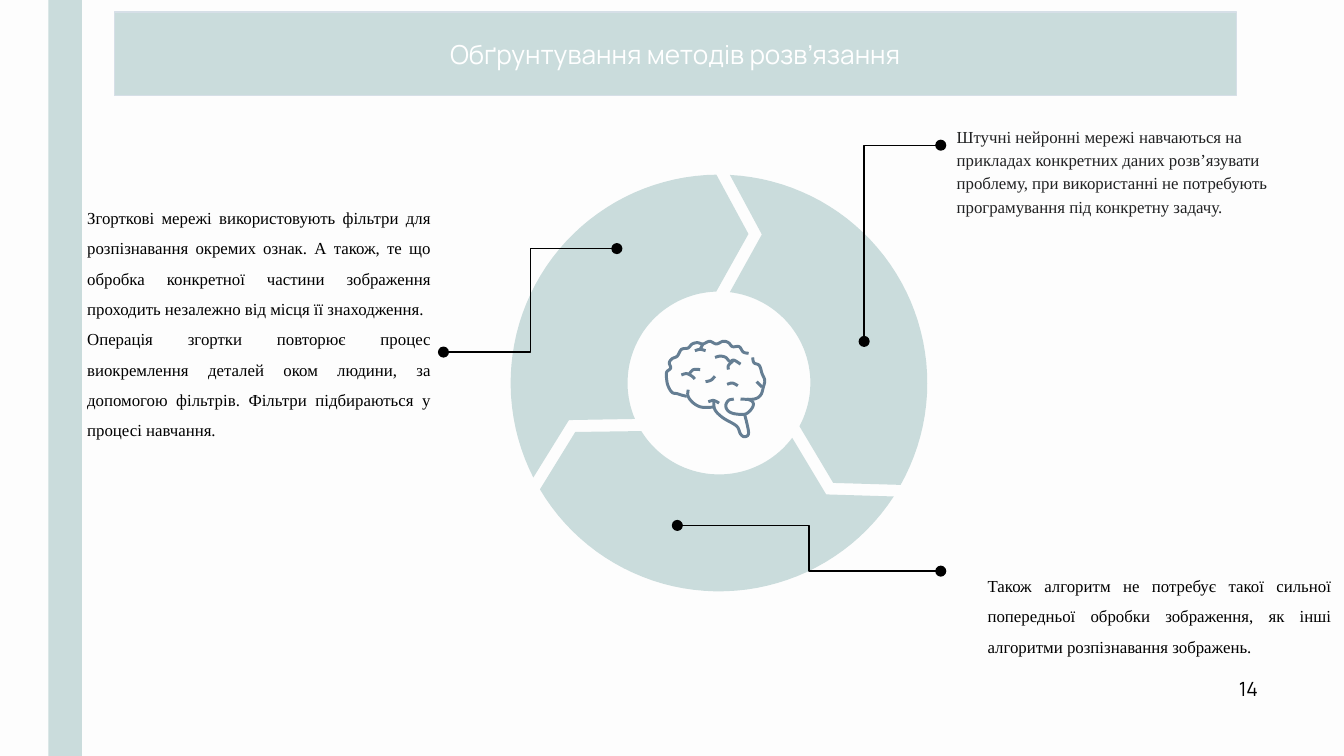
from math import cos, radians, sin

from lxml.etree import SubElement
from pptx import Presentation
from pptx.dml.color import RGBColor
from pptx.enum.shapes import MSO_CONNECTOR as CONNECTOR, MSO_SHAPE as SHAPE
from pptx.enum.text import MSO_ANCHOR as ANCHOR, PP_ALIGN as ALIGN
from pptx.oxml.ns import qn
from pptx.util import Inches, Pt

COLORS = {"paper": "FDFDFD", "sage": "CADCDC", "edge": "D6DFE7", "white": "FFFFFF",
          "black": "000000", "ink": "202122", "brain": "657E93"}
SERIF, SANS = "Times New Roman", "Manrope"

CONVOLUTION = [
    "Згорткові мережі використовують фільтри для розпізнавання окремих ознак. А також, те що "
    "обробка конкретної частини зображення проходить незалежно від місця її знаходження.",
    "Операція згортки повторює процес виокремлення деталей оком людини, за допомогою фільтрів. "
    "Фільтри підбираються у процесі навчання.",
]
PREPROCESSING = ["Також алгоритм не потребує такої сильної попередньої обробки зображення, "
                 "як інші алгоритми розпізнавання зображень."]
LEARNING = ["Штучні нейронні мережі навчаються на прикладах конкретних даних розв’язувати "
            "проблему, при використанні не потребують програмування під конкретну задачу."]

# Strokes of the brain icon, in hundredths of an inch from its top left corner
BRAIN = [
    [[(39, 13), (43, 12), (47, 13), (50, 16), (53, 15), (58, 18)], [(49, 22), (49, 19), (53, 15)]],
    [[(14, 26), (18, 25), (22, 27), (24, 29)], [(20, 25), (23, 22), (28, 22)]],
    [[(48, 33), (52, 32), (56, 34)]],
    [[(32, 31), (36, 30), (39, 27)]],
    [  # outline, stem and cerebellum
        [(67, 13), (68, 17), (72, 19), (74, 25), (76, 30), (75, 35), (73, 41), (68, 44), (58, 44)],
        [(70, 31), (74, 35)],
        [(64, 10), (60, 9), (57, 5), (52, 5), (49, 2), (45, 1), (40, 3), (35, 1), (30, 3),
         (26, 2), (22, 3), (19, 6), (14, 7), (11, 12), (7, 14), (5, 17), (6, 21), (3, 24),
         (3, 29), (4, 34), (7, 39), (11, 40), (14, 41), (18, 42)],
        [(19, 37), (19, 42), (23, 47), (29, 50), (38, 50)],
        [(34, 46), (38, 45), (42, 47)],
        [(38, 45), (39, 52), (45, 58), (55, 64), (58, 70), (61, 72), (64, 69), (61, 55)],
        [(53, 44), (49, 45), (47, 49), (49, 53), (54, 55), (62, 55), (67, 50), (67, 46), (63, 44)],
        [(24, 8), (28, 7), (32, 8)],
        [(28, 7), (30, 3)],
    ],
]


def rgb(name):
    return RGBColor.from_string(COLORS[name])


def add_bar(slide, left, top, width, height, edge=None):
    bar = slide.shapes.add_shape(SHAPE.RECTANGLE, *map(Inches, (left, top, width, height)))
    bar.shadow.inherit = False
    bar.fill.solid()
    bar.fill.fore_color.rgb = rgb("sage")
    if edge:
        bar.line.color.rgb = rgb(edge)
        bar.line.width = Pt(0.75)
    else:
        bar.line.fill.background()
    return bar


def write(frame, paragraphs, size, font, color, align=ALIGN.LEFT, spacing=None, indent=0, after=0):
    frame.word_wrap = True
    frame.margin_left = frame.margin_right = Inches(0.1)
    frame.margin_top = frame.margin_bottom = Inches(0.1)
    frame.text = "\n".join(paragraphs)
    for paragraph in frame.paragraphs:
        paragraph.alignment = align
        paragraph.line_spacing = spacing
        paragraph.space_after = Pt(after)
        properties = paragraph._p.get_or_add_pPr()
        properties.set("marL", str(Inches(indent)))
        properties.set("indent", "0")
        for run in paragraph.runs:
            run.font.size = Pt(size)
            run.font.name = font
            run.font.color.rgb = rgb(color)


def add_text(slide, left, top, width, height, paragraphs, **style):
    box = slide.shapes.add_textbox(*map(Inches, (left, top, width, height)))
    write(box.text_frame, paragraphs, **style)


def add_title(slide, left, top, width, height):
    banner = add_bar(slide, left, top, width, height, "edge")
    banner.text_frame.vertical_anchor = ANCHOR.MIDDLE
    write(banner.text_frame, ["Обґрунтування методів розв’язання"], 14, SANS, "white", ALIGN.CENTER)


def add_outline(slide, strokes, closed):
    """Draw one freeform from strokes given as lists of points in inches."""
    scaled = [[(Inches(x), Inches(y)) for x, y in stroke] for stroke in strokes]
    builder = slide.shapes.build_freeform(*scaled[0][0])
    for number, stroke in enumerate(scaled):
        if number:
            builder.move_to(*stroke[0])
        builder.add_line_segments(stroke[1:], close=closed)
    outline = builder.convert_to_shape()
    outline.shadow.inherit = False
    return outline


def add_ring(slide, center_x, center_y, outer=1.55, inner=0.68, parts=3):
    """Draw a ring of equal arrow-like parts, angles running clockwise from the top."""
    step = 360 / parts

    def polar(radius, angle):
        turn = radians(angle)
        return center_x + radius * sin(turn), center_y - radius * cos(turn)

    def arc(radius, start, end, count=40):
        return [polar(radius, start + (end - start) * i / count) for i in range(count + 1)]

    for part in range(parts):
        start = (part - 1) * step
        end = start + step
        points = [polar(1.15, start + 16.1), *arc(inner, start + 6.8, end - 1.7),
                  polar(1.13, end + 11.2), *arc(outer, end - 0.7, start + 3)]
        segment = add_outline(slide, [points], closed=True)
        segment.fill.solid()
        segment.fill.fore_color.rgb = rgb("sage")
        segment.line.fill.background()


def smooth(points, count=5):
    """Run a Catmull-Rom curve through the points."""
    padded = [points[0], *points, points[-1]]
    curve = [points[0]]
    for a, b, c, d in zip(padded, padded[1:], padded[2:], padded[3:]):
        for i in range(1, count + 1):
            t = i / count
            curve.append(tuple(
                (2 * q + (r - p) * t + (2 * p - 5 * q + 4 * r - s) * t ** 2
                 + (3 * q - p - 3 * r + s) * t ** 3) / 2
                for p, q, r, s in zip(a, b, c, d)))
    return curve


def add_brain(slide, left, top):
    for fold in BRAIN:
        strokes = [[(left + x / 100, top + y / 100) for x, y in smooth(stroke)] for stroke in fold]
        outline = add_outline(slide, strokes, closed=False)
        outline.fill.background()
        outline.line.color.rgb = rgb("brain")
        outline.line.width = Pt(1.6)


def add_callout(slide, x1, y1, x2, y2, single_bend=False):
    """Join two points by an elbow with round ends; a single bend rises first, then runs right."""
    ends = (x1, y1, x2, y2)
    if single_bend:
        middle_x, middle_y = (x1 + x2) / 2, (y1 + y2) / 2
        half_w, half_h = (y1 - y2) / 2, (x2 - x1) / 2
        ends = (middle_x - half_w, middle_y - half_h, middle_x + half_w, middle_y + half_h)
    elbow = slide.shapes.add_connector(CONNECTOR.ELBOW, *map(Inches, ends))
    elbow.line.color.rgb = rgb("black")
    elbow.line.width = Pt(0.75)
    properties = elbow._element.spPr
    if single_bend:
        properties.find(qn("a:xfrm")).set("rot", str(270 * 60000))
        properties.find(qn("a:prstGeom")).set("prst", "bentConnector2")
    line = properties.find(qn("a:ln"))
    for tag in ("a:headEnd", "a:tailEnd"):
        SubElement(line, qn(tag), type="oval")
    SubElement(properties, qn("a:effectLst"))


def main():
    deck = Presentation()
    deck.slide_width = Inches(10)
    deck.slide_height = deck.slide_width * 9 // 16
    slide = deck.slides.add_slide(deck.slide_layouts[6])
    slide.background.fill.solid()
    slide.background.fill.fore_color.rgb = rgb("paper")

    add_bar(slide, 0.36, -0.05, 0.25, 5.73)
    justified = dict(size=9, font=SERIF, color="black", align=ALIGN.JUSTIFY, spacing=1.5, indent=0.5)
    add_text(slide, 0.05, 1.37, 3.25, 4.16, CONVOLUTION, **justified)
    add_text(slide, 6.75, 4.11, 3.25, 1.04, PREPROCESSING, **justified)
    add_text(slide, 7.02, 0.82, 2.83, 1.18, LEARNING,
             size=9, font=SERIF, color="ink", spacing=1.15, after=16)
    add_ring(slide, 5.35, 2.85)
    add_callout(slide, 4.59, 1.85, 3.3, 2.62)
    add_callout(slide, 6.43, 2.54, 7, 1.08, single_bend=True)
    add_callout(slide, 5.04, 3.91, 7, 4.25)
    add_title(slide, 0.85, 0.09, 8.35, 0.62)
    add_brain(slide, 4.93, 2.53)
    add_text(slide, 8.93, 4.91, 0.54, 0.49, ["14"],
             size=10.5, font=SANS, color="black", spacing=1.15, indent=0.19)
    deck.save("out.pptx")


if __name__ == "__main__":
    main()
